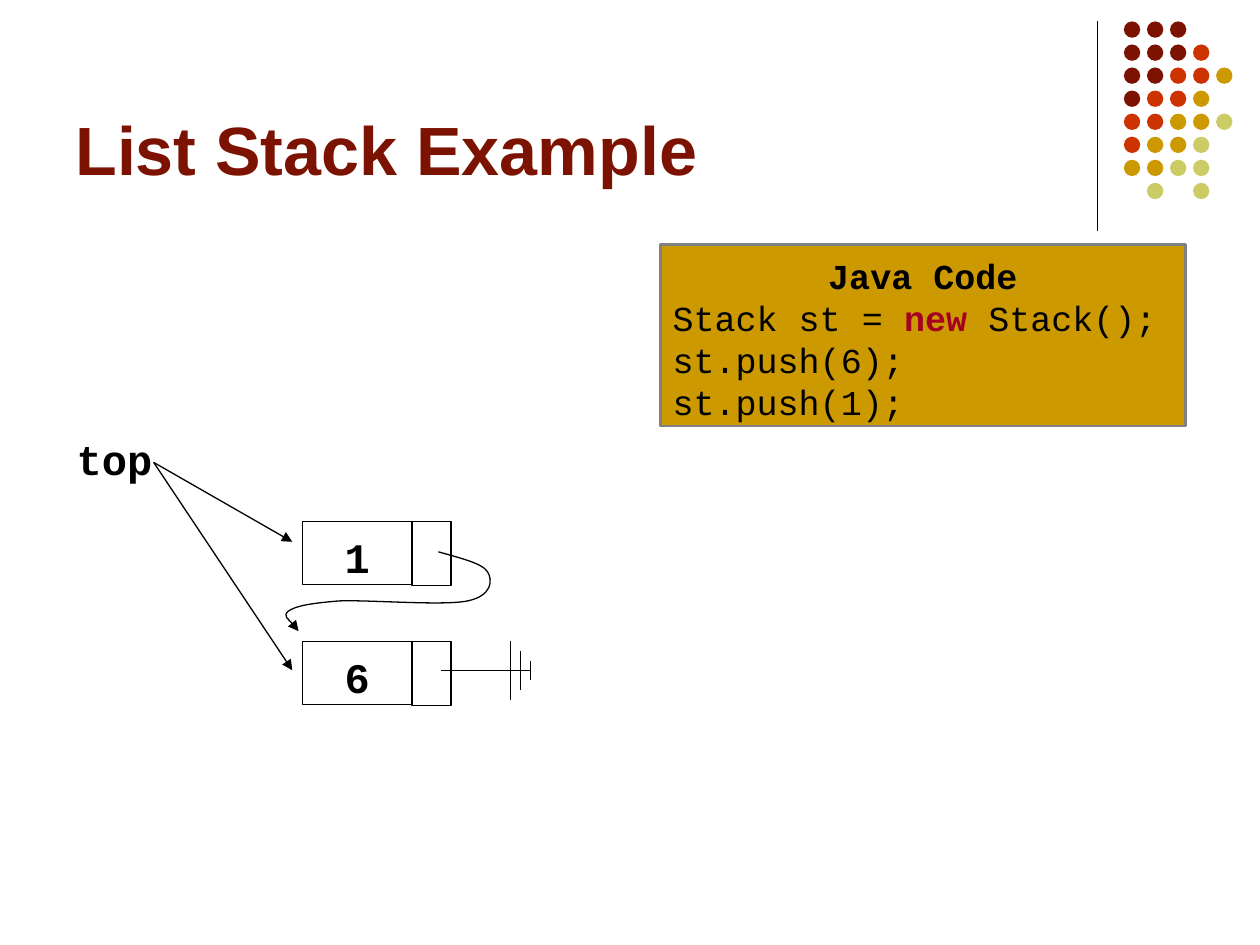
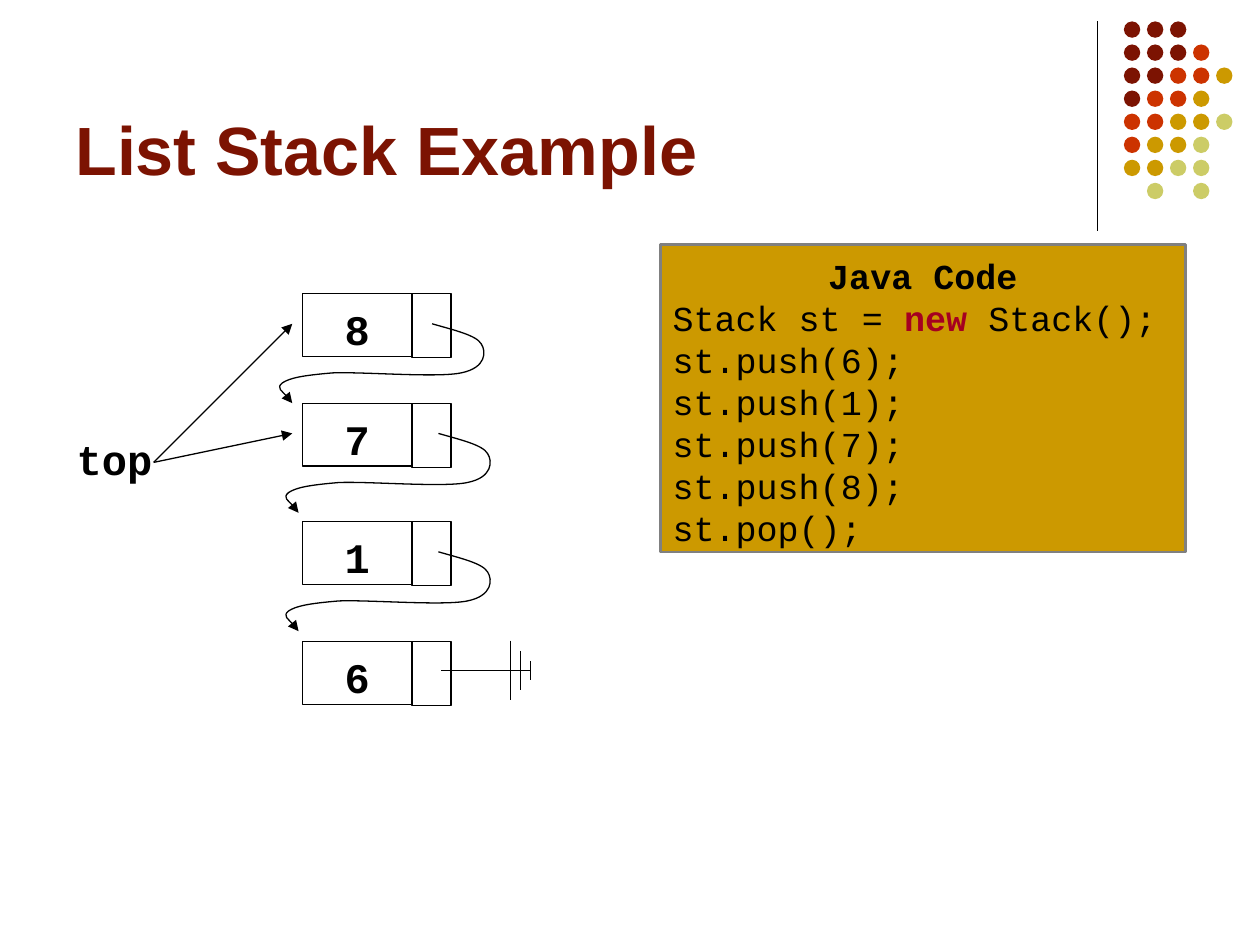
from lxml import etree
from pptx import Presentation
from pptx import util as u
from pptx.dml.color import RGBColor
from pptx.enum import shapes, text
from pptx.oxml import ns

COLORS = {"maroon": "7C1302", "red": "CC3300", "gold": "CC9900", "lime": "CCCC66",
          "black": "000000", "gray": "808080", "keyword": "A50021"}
CODE_FONT = "Courier New"

# Corner ornament: one letter per dot, spaces are gaps
DOT_ROWS = ["mmm", "mmmr", "mmrrg", "mrrg", "rrggl", "rggl", "ggll", " l l"]
DOT_COLORS = {"m": "maroon", "r": "red", "g": "gold", "l": "lime"}
DOT_LEFT, DOT_TOP, DOT_STEP, DOT_SIZE = 8.92, 0.17, 0.183, 0.13

# List nodes
NODE_TOPS = {"8": 2.33, "7": 3.2, "1": 4.14, "6": 5.09}
NODE_LEFT, VALUE_WIDTH, LINK_WIDTH = 2.4, 0.87, 0.31
MIDDLE = 0.24
TOP_TIP = (1.22, 3.67)

# Link curve, relative to its start: three points per Bezier segment
LINK_CURVE = [(0.17, 0.05), (0.35, 0.09), (0.39, 0.16),
              (0.43, 0.22), (0.43, 0.35), (0.23, 0.39),
              (0.04, 0.43), (-0.55, 0.38), (-0.79, 0.39),
              (-1.03, 0.41), (-1.13, 0.43), (-1.19, 0.47),
              (-1.24, 0.51), (-1.12, 0.6), (-1.11, 0.63)]


def rgb(name):
    return RGBColor.from_string(COLORS[name])


def inches(*values):
    return [u.Inches(value) for value in values]


def style_line(item, color="black", width=0.75, arrow=False):
    item.line.color.rgb = rgb(color)
    item.line.width = u.Pt(width)
    if arrow:
        tail = etree.SubElement(item.line._get_or_add_ln(), ns.qn("a:tailEnd"))
        tail.set("type", "triangle")


def add_line(page, start, end, arrow=False):
    line = page.shapes.add_connector(shapes.MSO_CONNECTOR.STRAIGHT,
                                     *inches(*start, *end))
    style_line(line, arrow=arrow)
    etree.SubElement(line._element.spPr, ns.qn("a:effectLst"))


def add_box(page, place, kind=shapes.MSO_SHAPE.RECTANGLE, fill=None, line=None, width=0.75):
    box = page.shapes.add_shape(kind, *inches(*place))
    box.shadow.inherit = False
    if fill:
        box.fill.solid()
        box.fill.fore_color.rgb = rgb(fill)
    else:
        box.fill.background()
    if line:
        style_line(box, line, width)
    else:
        box.line.fill.background()
    return box


def add_run(para, words, size, font=CODE_FONT, color="black", bold=True):
    span = para.add_run()
    span.text = words
    span.font.size = u.Pt(size)
    span.font.name = font
    span.font.bold = bold
    span.font.color.rgb = rgb(color)


def set_frame(box, top=0.08, anchor=text.MSO_ANCHOR.TOP, wrap=True):
    frame = box.text_frame
    frame.word_wrap = wrap
    frame.vertical_anchor = anchor
    frame.margin_left = frame.margin_right = u.Inches(0.1)
    frame.margin_top, frame.margin_bottom = inches(top, 0.05)
    return frame


def set_para(para, size, align=text.PP_ALIGN.LEFT):
    para.alignment = align
    para.line_spacing = u.Pt(1.2 * size)
    return para


def add_ornament(page):
    add_line(page, (8.71, 0.17), (8.71, 1.83))
    for row, dots in enumerate(DOT_ROWS):
        for column, dot in enumerate(dots):
            if dot != " ":
                place = (DOT_LEFT + column * DOT_STEP, DOT_TOP + row * DOT_STEP,
                         DOT_SIZE, DOT_SIZE)
                add_box(page, place, shapes.MSO_SHAPE.OVAL, DOT_COLORS[dot])


def add_title(page, words):
    box = page.shapes.add_textbox(*inches(0.5, 0.13, 8.25, 1.42))
    frame = set_frame(box, 0.05, text.MSO_ANCHOR.BOTTOM)
    add_run(frame.paragraphs[0], words, 39, "Arial", "maroon")


def add_code(page, calls):
    height = 0.44 + (len(calls) + 2) / 3 - 1 / 3
    box = add_box(page, (5.24, 1.94, 4.17, height), fill="gold", line="gray", width=1.5)
    frame = set_frame(box)
    heading = set_para(frame.paragraphs[0], 20, text.PP_ALIGN.CENTER)
    add_run(heading, "Java Code", 20)
    creation = set_para(frame.add_paragraph(), 20)
    add_run(creation, "Stack st = ", 20, bold=False)
    add_run(creation, "new", 20, color="keyword")
    add_run(creation, " Stack();", 20, bold=False)
    for call in calls:
        add_run(set_para(frame.add_paragraph(), 20), f"st.{call};", 20, bold=False)


def add_top_label(page):
    box = page.shapes.add_textbox(*inches(0.51, 3.36, 0.83, 0.5))
    add_run(set_para(set_frame(box, wrap=False).paragraphs[0], 24), "top", 24)


def add_node(page, value):
    top = NODE_TOPS[value]
    box = add_box(page, (NODE_LEFT, top, VALUE_WIDTH, 0.5), line="black")
    para = set_para(set_frame(box).paragraphs[0], 24, text.PP_ALIGN.CENTER)
    add_run(para, value, 24)
    add_box(page, (NODE_LEFT + VALUE_WIDTH, top, LINK_WIDTH, 0.51), line="black")


def add_link(page, value):
    """Draw the curved arrow from a node to the one below it."""
    left = 3.43 if value == "8" else 3.48
    top = NODE_TOPS[value] + MIDDLE
    builder = page.shapes.build_freeform(*inches(left, top), scale=1.0)
    builder.add_line_segments([inches(left + x, top + y) for x, y in LINK_CURVE], close=False)
    curve = builder.convert_to_shape()
    curve.shadow.inherit = False
    curve.fill.background()
    style_line(curve, arrow=True)
    # Turn every three straight steps into one Bezier segment
    steps = list(curve._element.iter(ns.qn("a:lnTo")))
    for first in range(0, len(steps), 3):
        bezier = etree.Element(ns.qn("a:cubicBezTo"))
        steps[first].addprevious(bezier)
        for step in steps[first:first + 3]:
            bezier.append(step[0])
            step.getparent().remove(step)


def add_ground(page):
    middle = 5.32
    add_line(page, (3.5, middle), (4.21, middle))
    for bar, half in enumerate((0.235, 0.155, 0.075)):
        x = 4.05 + bar * 0.08
        add_line(page, (x, middle - half), (x, middle + half))


def add_stack_page(deck, calls, nodes, pointer_ends):
    page = deck.slides.add_slide(deck.slide_layouts[6])
    add_ornament(page)
    add_title(page, "List Stack Example")
    add_code(page, calls)
    add_top_label(page)
    for value in nodes:
        add_node(page, value)
    for end in pointer_ends:
        add_line(page, TOP_TIP, (2.32, end), arrow=True)
    for value in nodes[1:]:
        add_link(page, value)
    add_ground(page)


def main():
    deck = Presentation()
    deck.slide_width, deck.slide_height = inches(10, 7.5)
    pushes = ["push(6)", "push(1)"]
    add_stack_page(deck, pushes, "61", (5.32, 4.3))
    add_stack_page(deck, pushes + ["push(7)", "push(8)", "pop()"], "6178", (3.44, 2.57))
    deck.save("out.pptx")


if __name__ == "__main__":
    main()
